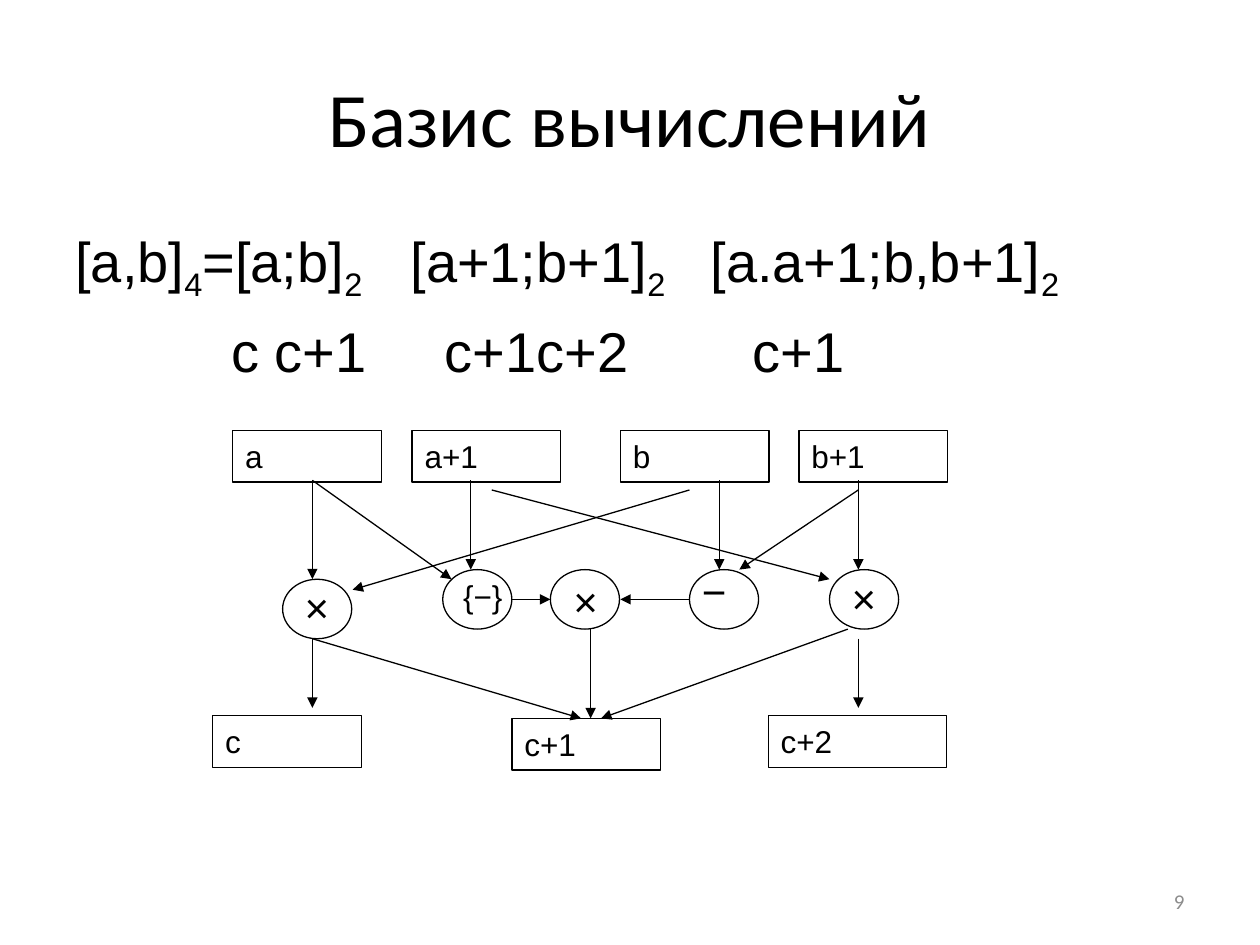
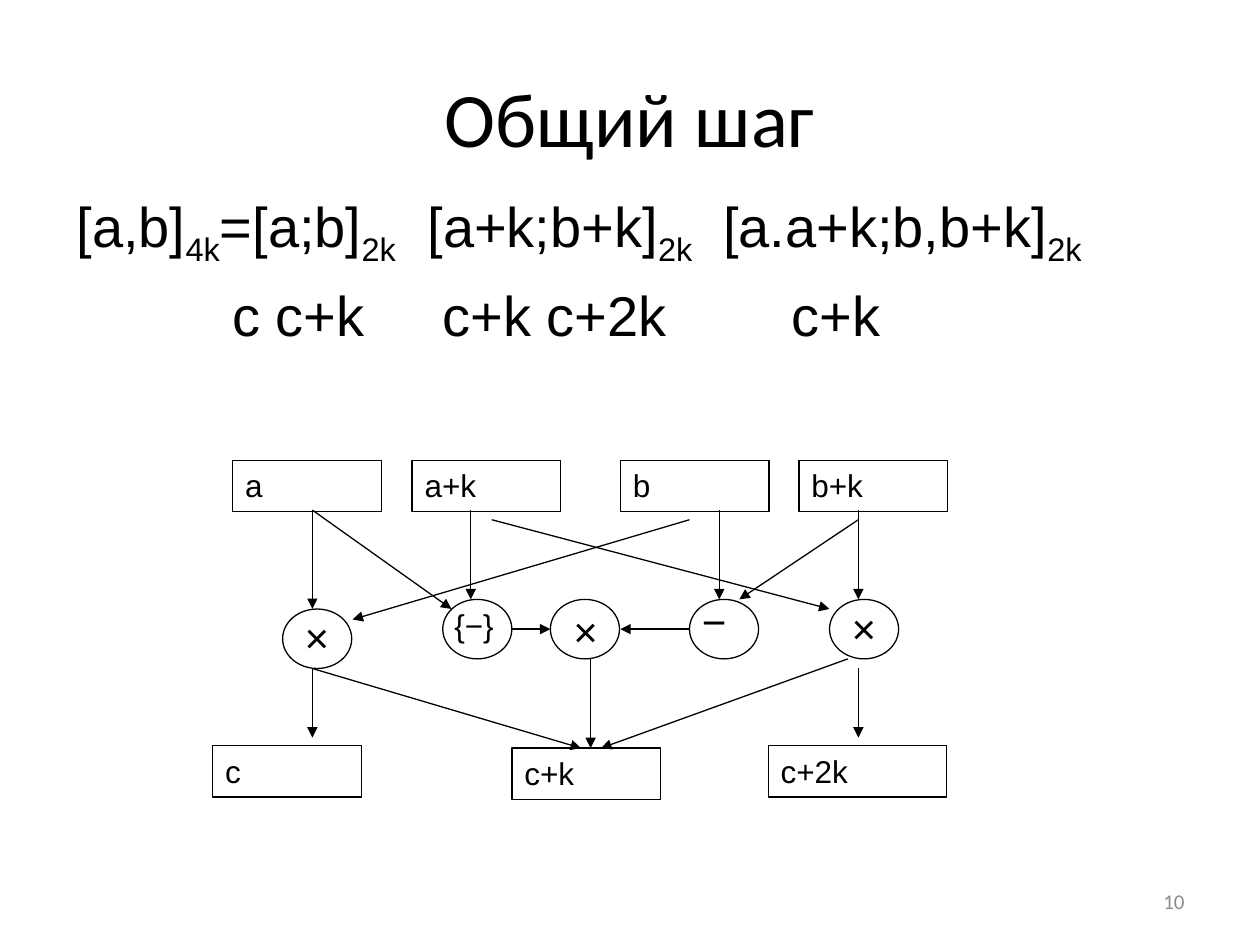
from dataclasses import dataclass

from lxml.etree import SubElement
from pptx import Presentation
from pptx.dml.color import RGBColor
from pptx.enum.shapes import MSO_CONNECTOR, MSO_SHAPE
from pptx.enum.text import MSO_ANCHOR, PP_ALIGN
from pptx.oxml.ns import qn
from pptx.util import Pt


@dataclass(frozen=True)
class Theme:
    ink: RGBColor = RGBColor(0, 0, 0)
    muted: RGBColor = RGBColor(0x8C, 0x8C, 0x8C)
    heading_font: str = "Calibri"
    body_font: str = "Arial"
    title: int = 44
    formula: int = 32
    operator: int = 24
    label: int = 18
    number: int = 12
    line: float = 0.75
    formula_gap: float = 7.5


class Deck:
    def __init__(self, prs, theme):
        self.prs = prs
        self.theme = theme
        self.s = None

    def add_slide(self, title, number):
        t = self.theme
        self.s = self.prs.slides.add_slide(self.prs.slide_layouts[6])
        self.text(title, 36, 21.6, 648, 90, t.title, t.heading_font,
                  align=PP_ALIGN.CENTER, anchor=MSO_ANCHOR.MIDDLE)
        self.text(str(number), 516, 500.5, 168, 28.75, t.number, t.heading_font,
                  t.muted, PP_ALIGN.RIGHT, MSO_ANCHOR.MIDDLE)

    def style(self, p, size, font=None, color=None, align=PP_ALIGN.LEFT):
        p.alignment = align
        p.font.size = Pt(size)
        p.font.name = font or self.theme.body_font
        p.font.color.rgb = color or self.theme.ink

    def text(self, text, x, y, w, h, size, font=None, color=None,
             align=PP_ALIGN.LEFT, anchor=MSO_ANCHOR.TOP):
        tf = self.s.shapes.add_textbox(Pt(x), Pt(y), Pt(w), Pt(h)).text_frame
        tf.word_wrap = True
        tf.vertical_anchor = anchor
        tf.text = text
        self.style(tf.paragraphs[0], size, font, color, align)

    def formula(self, x, y, rows):
        tf = self.s.shapes.add_textbox(Pt(x), Pt(y), Pt(648), Pt(104.5)).text_frame
        tf.word_wrap = True
        for i, (text, stops) in enumerate(rows):
            p = tf.paragraphs[0] if i == 0 else tf.add_paragraph()
            for j, part in enumerate(text.split("_")):
                if not part:
                    continue
                r = p.add_run()
                r.text = part
                if j % 2:
                    r._r.get_or_add_rPr().set("baseline", "-25000")
            p.space_after = Pt(self.theme.formula_gap)
            tabs = SubElement(p._p.get_or_add_pPr(), qn("a:tabLst"))
            for stop in stops:
                SubElement(tabs, qn("a:tab"), pos=str(Pt(stop)), algn="l")
            self.style(p, self.theme.formula)

    def outline(self, kind, x, y, w, h):
        sp = self.s.shapes.add_shape(kind, Pt(x), Pt(y), Pt(w), Pt(h))
        sp.shadow.inherit = False
        sp.fill.background()
        sp.line.color.rgb = self.theme.ink
        sp.line.width = Pt(self.theme.line)
        return sp

    def box(self, label, x, y, w=85, h=29.5):
        tf = self.outline(MSO_SHAPE.RECTANGLE, x, y, w, h).text_frame
        tf.word_wrap = True
        tf.vertical_anchor = MSO_ANCHOR.TOP
        tf.text = label
        self.style(tf.paragraphs[0], self.theme.label)

    def node(self, x, y):
        self.outline(MSO_SHAPE.OVAL, x, y, 39.5, 34)

    def arrow(self, x1, y1, x2, y2):
        c = self.s.shapes.add_connector(
            MSO_CONNECTOR.STRAIGHT, Pt(x1), Pt(y1), Pt(x2), Pt(y2))
        c.line.color.rgb = self.theme.ink
        c.line.width = Pt(self.theme.line)
        SubElement(c.line._get_or_add_ln(), qn("a:tailEnd"), type="triangle")
        SubElement(c._element.spPr, qn("a:effectLst"))


INPUT_XS = (133, 235.5, 354.5, 456.5)
OUTPUTS = ((121.5, 409, 85), (292.5, 410.5, 85), (439, 409, 102))
NODES = ((161.5, 331), (253, 325.5), (314.5, 325.5), (394, 325.5), (474, 325.5))
OPERATORS = (("×", 167, 329), ("×", 320.5, 325.5), ("×", 479.5, 323.5),
             ("−", 394, 319.5))
ARROWS = (
    (178.5, 274.5, 178.5, 331),
    (178.5, 280, 178.5, 280),
    (178.5, 274.5, 258, 331),
    (269, 274.5, 269, 325.5),
    (281, 280, 474, 331),
    (394, 280, 201.5, 337),
    (411, 274.5, 411, 325.5),
    (490.5, 274.5, 490.5, 325.5),
    (490.5, 280, 422.5, 325.5),
    (292.5, 342.5, 314.5, 342.5),
    (394, 342.5, 354.5, 342.5),
    (178.5, 365, 178.5, 404.5),
    (178.5, 365, 332, 410.5),
    (337.5, 359.5, 337.5, 410.5),
    (484.5, 359.5, 343.5, 410.5),
    (490.5, 365, 490.5, 404.5),
)


def draw_graph(deck, inputs, outputs, difference_x, dy):
    t = deck.theme
    for label, x in zip(inputs, INPUT_XS):
        deck.box(label, x, 246 + dy)
    for label, (x, y, w) in zip(outputs, OUTPUTS):
        deck.box(label, x, y + dy, w)
    for x, y in NODES:
        deck.node(x, y + dy)
    for sign, x, y in OPERATORS:
        deck.text(sign, x, y + dy, 57, 36, t.operator)
    deck.text("{−}", difference_x, 326 + dy, 57, 29, t.label)
    for x1, y1, x2, y2 in ARROWS:
        deck.arrow(x1, y1 + dy, x2, y2 + dy)


def main():
    prs = Presentation()
    prs.slide_width, prs.slide_height = Pt(720), Pt(540)
    deck = Deck(prs, Theme())

    deck.add_slide("Базис вычислений", 9)
    deck.formula(36, 126, (
        ("[a,b]_4_=[a;b]_2_\t[a+1;b+1]_2_\t[a.a+1;b,b+1]_2_", (191.5, 363)),
        ("\tc c+1\tc+1c+2\tc+1", (89, 211, 387)),
    ))
    draw_graph(deck, ("a", "a+1", "b", "b+1"), ("c", "c+1", "c+2"), 257.5, 0)

    deck.add_slide("Общий шаг", 10)
    deck.formula(36.75, 105.75, (
        ("[a,b]_4k_=[a;b]_2k_\t[a+k;b+k]_2k_\t[a.a+k;b,b+k]_2k_", (200.5, 369.5)),
        ("\tc c+k\tc+k c+2k\tc+k", (89, 209, 408.5)),
    ))
    draw_graph(deck, ("a", "a+k", "b", "b+k"), ("c", "c+k", "c+2k"), 252.5, 17)

    prs.save("out.pptx")


if __name__ == "__main__":
    main()
